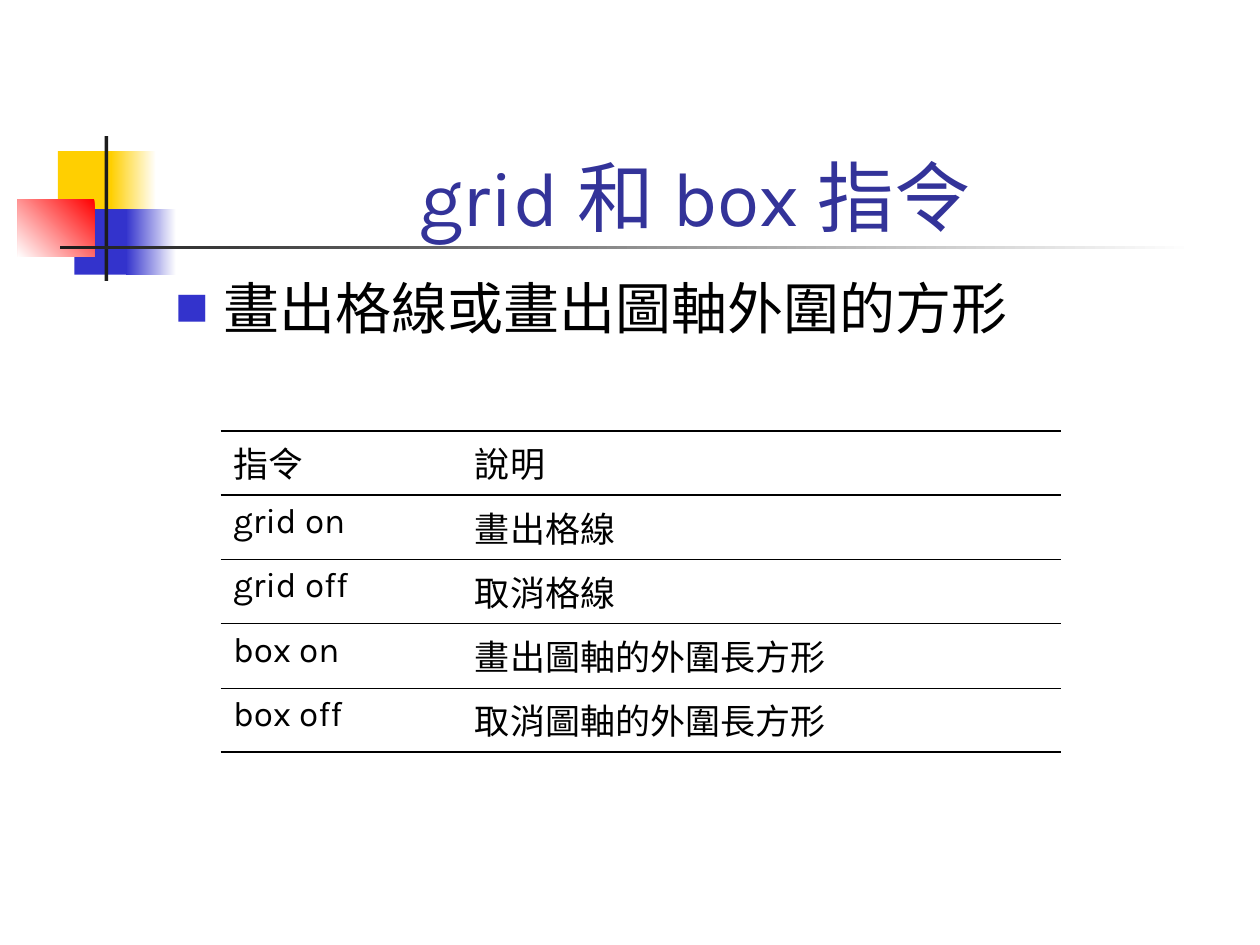
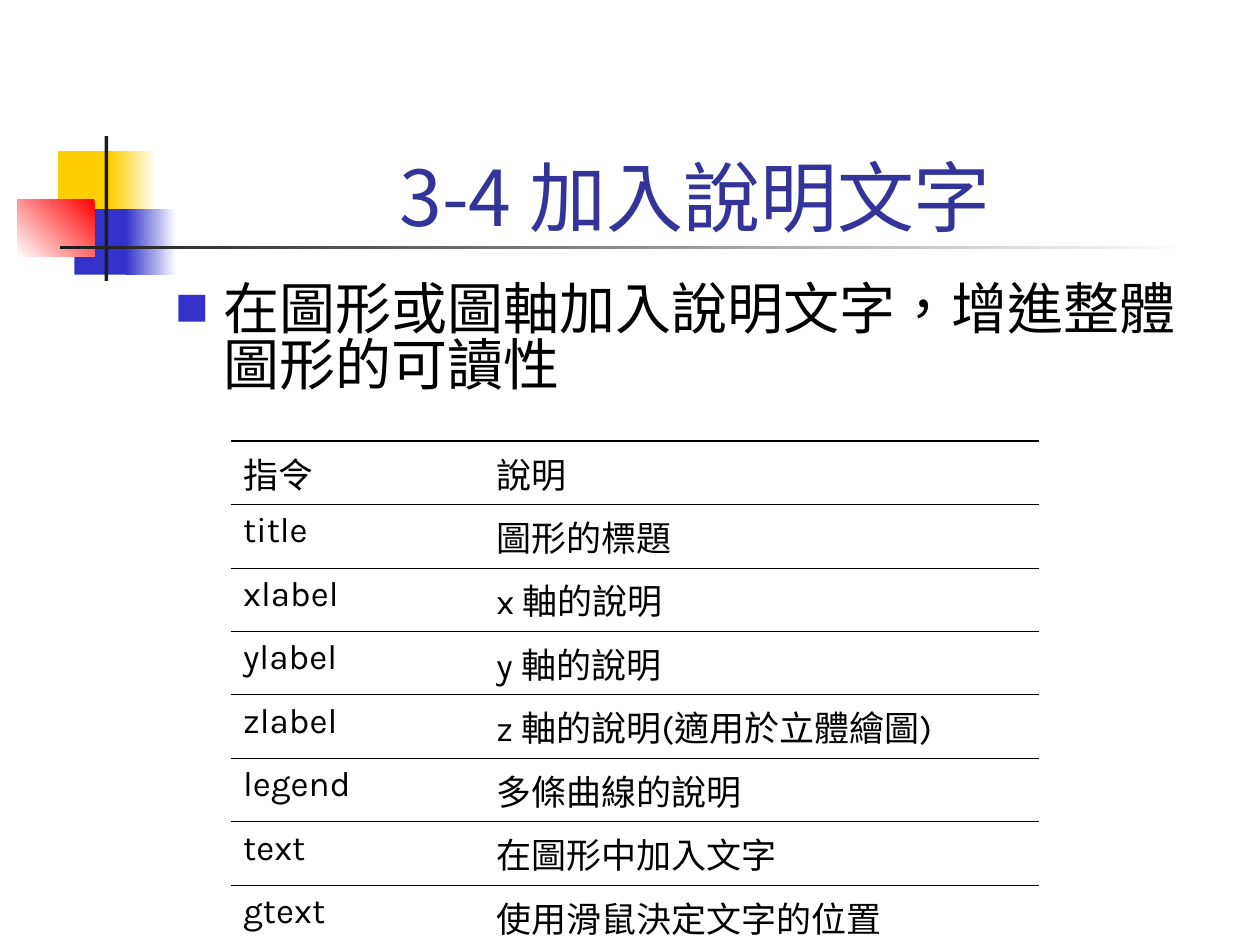
"""Build two lesson slides on plot grids and labels."""
from dataclasses import dataclass
from typing import NamedTuple, Optional

from lxml import etree
from pptx import Presentation
from pptx.dml.color import RGBColor
from pptx.enum import shapes, text
from pptx.oxml import ns
from pptx.util import Inches, Pt


@dataclass(frozen=True)
class Theme:
    """Colours, fonts and sizes shared by the deck."""
    ink: str = "000000"
    head: str = "333399"
    blue: str = "3333CC"
    gold: str = "FFCF01"
    red: str = "FF0000"
    dark: str = "1C1C1C"
    white: str = "FFFFFF"
    sans: str = "Karla"
    han: str = "Noto Sans CJK SC"
    serif: str = "Times New Roman"
    big: int = 44
    list: int = 32
    cell: int = 20
    thick: float = 1.08
    thin: float = 0.45


T = Theme()


class Box(NamedTuple):
    """A place on the slide in inches."""
    x: float
    y: float
    w: float
    h: float


class Block(NamedTuple):
    """A motif block, plain or fading to a second colour."""
    box: Box
    color: str
    fade: Optional[str] = None
    angle: int = 180


class Grid(NamedTuple):
    """A command table."""
    x: float
    y: float
    cols: tuple
    row: float
    rows: tuple


class Page(NamedTuple):
    """The content of one slide."""
    title: str
    face: str
    point: str
    font: str
    grid: Grid


TITLE = Box(1.26, 0.67, 8.52, 1.25)
BODY = Box(1.29, 2.21, 8.5, 4.5)
MOTIF = (
    Block(Box(0.46, 1.2, 0.48, 0.52), T.gold),
    Block(Box(0.88, 1.2, 0.36, 0.52), T.white, T.gold),
    Block(Box(0.59, 1.66, 0.46, 0.52), T.blue),
    Block(Box(1, 1.66, 0.4, 0.52), T.white, T.blue),
    Block(Box(0.14, 1.58, 0.61, 0.46), T.red, T.white, 225),
    Block(Box(0.83, 1.08, 0.03, 1.15), T.dark),
    Block(Box(0.48, 1.95, 9, 0.03), T.white, T.dark),
)
HEAD = ("指令", "說明")
PAGES = (
    Page("grid 和 box 指令", T.sans, "畫出格線或畫出圖軸外圍的方形", T.han,
         Grid(1.75, 3.42, (1.92, 4.75), 0.51, (
             HEAD,
             ("grid on", "畫出格線"),
             ("grid off", "取消格線"),
             ("box on", "畫出圖軸的外圍長方形"),
             ("box off", "取消圖軸的外圍長方形"),
         ))),
    Page("3-4 加入說明文字", T.han,
         "在圖形或圖軸加入說明文字，增進整體圖形的可讀性", T.serif,
         Grid(1.83, 3.5, (2.01, 4.41), 0.5, (
             HEAD,
             ("title", "圖形的標題"),
             ("xlabel", "x 軸的說明"),
             ("ylabel", "y 軸的說明"),
             ("zlabel", "z 軸的說明(適用於立體繪圖)"),
             ("legend", "多條曲線的說明"),
             ("text", "在圖形中加入文字"),
             ("gtext", "使用滑鼠決定文字的位置"),
         ))),
)


def rgb(color: str) -> RGBColor:
    """Turn a hex string into a colour."""
    return RGBColor.from_string(color)


def node(parent, tag: str, **attrs: str):
    """Append a drawing element."""
    return etree.SubElement(parent, ns.qn(f"a:{tag}"), attrs)


def place(shape, box: Box) -> None:
    """Move a shape to a box."""
    shape.left, shape.top, shape.width, shape.height = map(Inches, box)


def write(frame, words: str, *, size: int, font: str, color: str = T.ink,
          align=text.PP_ALIGN.LEFT, lead: float = 1.0, bullet: str = "") -> None:
    """Write one formatted paragraph."""
    frame.word_wrap = True
    para = frame.paragraphs[0]
    if bullet:
        props = para._p.get_or_add_pPr()
        props.set("marL", str(Inches(0.38)))
        props.set("indent", str(-Inches(0.38)))
        node(node(props, "buClr"), "srgbClr", val=T.blue)
        node(props, "buSzPct", val="60000")
        node(props, "buFont", typeface=T.han)
        node(props, "buChar", char=bullet)
    para.alignment = align
    para.space_before = Pt(0)
    para.line_spacing = lead
    run = para.add_run()
    run.text = words
    run.font.size = Pt(size)
    run.font.color.rgb = rgb(color)
    run.font.name = font
    props = run._r.get_or_add_rPr()
    props.set("lang", "zh-TW")
    node(props, "ea", typeface=T.han)


def draw(slide, block: Block):
    """Draw one motif block."""
    shape = slide.shapes.add_shape(shapes.MSO_SHAPE.RECTANGLE,
                                   *map(Inches, block.box))
    shape.shadow.inherit = False
    shape.line.fill.background()
    if block.fade:
        shape.fill.gradient()
        shape.fill.gradient_angle = block.angle
        stops = shape.fill.gradient_stops
        for stop, color, pos in zip(stops, (block.color, block.fade), (0, 1)):
            stop.color.rgb = rgb(color)
            stop.position = pos
    else:
        shape.fill.solid()
        shape.fill.fore_color.rgb = rgb(block.color)
    return shape


def rule(cell, side: str, width: float) -> None:
    """Set one cell border, or clear it at width zero."""
    line = node(cell._tc.get_or_add_tcPr(), side, w=str(Pt(width)))
    if width:
        node(node(line, "solidFill"), "srgbClr", val=T.ink)
    else:
        node(line, "noFill")


def chart(slide, grid: Grid) -> None:
    """Add a command table ruled by horizontal lines."""
    count = len(grid.rows)
    table = slide.shapes.add_table(
        count, len(grid.cols), Inches(grid.x), Inches(grid.y),
        Inches(sum(grid.cols)), Inches(grid.row * count)).table
    table.first_row = table.horz_banding = False
    for col, width in zip(table.columns, grid.cols):
        col.width = Inches(width)
    edges = [T.thick if i in (0, 1, count) else T.thin
             for i in range(count + 1)]
    for i, words in enumerate(grid.rows):
        for j, word in enumerate(words):
            cell = table.cell(i, j)
            for side, width in (("lnL", 0), ("lnR", 0),
                                ("lnT", edges[i]), ("lnB", edges[i + 1])):
                rule(cell, side, width)
            cell.fill.background()
            write(cell.text_frame, word, size=T.cell, font=T.sans)


def build(slide, page: Page) -> None:
    """Fill one slide."""
    title, body = slide.shapes.title, slide.placeholders[1]
    title.text_frame.vertical_anchor = text.MSO_ANCHOR.BOTTOM
    title.text_frame.margin_bottom = 0
    for shape in (title, body):
        shape.text_frame.auto_size = text.MSO_AUTO_SIZE.NONE
    write(title.text_frame, page.title, size=T.big, font=page.face,
          color=T.head, align=text.PP_ALIGN.CENTER)
    write(body.text_frame, page.point, size=T.list, font=page.font,
          lead=0.83, bullet="■")
    chart(slide, page.grid)


def main() -> None:
    """Set up the layout, build the slides and save."""
    deck = Presentation()
    deck.slide_width, deck.slide_height = Inches(10), Inches(7.5)
    base = deck.slide_layouts[1]
    for hold, box in zip(base.placeholders, (TITLE, BODY)):
        place(hold, box)
    slides = [deck.slides.add_slide(base) for _ in PAGES]
    for block in MOTIF:
        base.shapes.element.append(draw(slides[0], block).element)
    for slide, page in zip(slides, PAGES):
        build(slide, page)
    deck.save("out.pptx")


if __name__ == "__main__":
    main()
